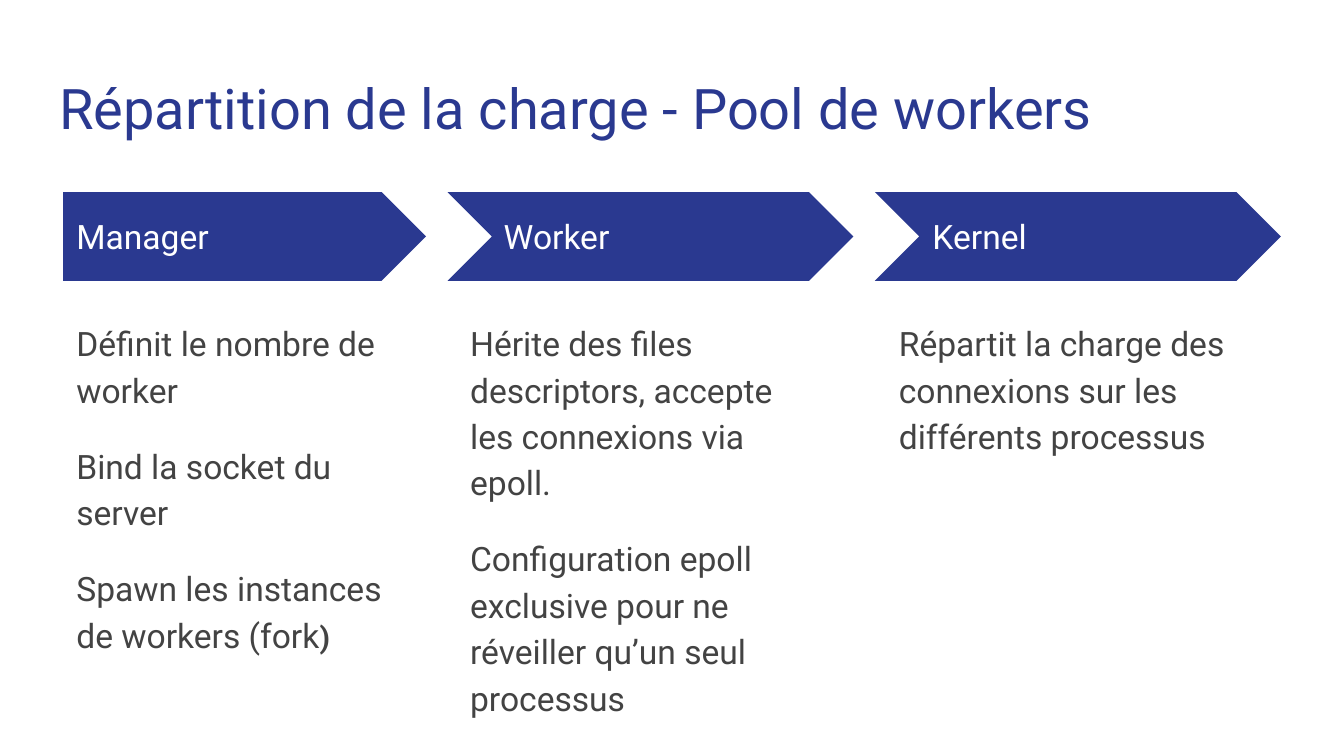
from dataclasses import dataclass

import pptx
import pptx.dml.color
import pptx.enum.shapes
import pptx.enum.text
import pptx.util

SLIDE_WIDTH = pptx.util.Inches(10)
SLIDE_HEIGHT = pptx.util.Inches(10 * 9 / 16)
NAVY = pptx.dml.color.RGBColor(0x2A, 0x39, 0x90)
GREY = pptx.dml.color.RGBColor(0x43, 0x43, 0x43)
WHITE = pptx.dml.color.RGBColor(0xFF, 0xFF, 0xFF)
FONT = "Roboto"
PENTAGON = pptx.enum.shapes.MSO_SHAPE.PENTAGON
CHEVRON = pptx.enum.shapes.MSO_SHAPE.CHEVRON
TOP = pptx.enum.text.MSO_ANCHOR.TOP
MIDDLE = pptx.enum.text.MSO_ANCHOR.MIDDLE


@dataclass
class Step:
    heading: str
    details: list[str]
    arrow: pptx.enum.shapes.MSO_SHAPE
    arrow_left: float
    arrow_width: float
    heading_left: float
    details_left: float


STEPS = [
    Step("Manager",
         ["Définit le nombre de worker", "Bind la socket du server",
          "Spawn les instances de workers (fork"],
         PENTAGON, 0.47, 2.7, 0.47, 0.47),
    Step("Worker",
         ["Hérite des files descriptors, accepte les connexions via epoll.",
          "Configuration epoll exclusive pour ne réveiller qu’un seul processus"],
         CHEVRON, 3.33, 3.02, 3.65, 3.4),
    Step("Kernel",
         ["Répartit la charge des connexions sur les différents processus"],
         CHEVRON, 6.51, 3.02, 6.84, 6.59),
]


def style_font(font, size: float, color: pptx.dml.color.RGBColor) -> None:
    font.name = FONT
    font.size = pptx.util.Pt(size)
    font.color.rgb = color


def prepare_frame(text_frame, anchor: pptx.enum.text.MSO_ANCHOR) -> None:
    text_frame.word_wrap = True
    text_frame.auto_size = pptx.enum.text.MSO_AUTO_SIZE.NONE
    text_frame.vertical_anchor = anchor
    text_frame.margin_left = text_frame.margin_right = pptx.util.Inches(0.1)
    text_frame.margin_top = text_frame.margin_bottom = pptx.util.Inches(0.1)


def add_title(slide, text: str) -> None:
    title = slide.shapes.title
    title.left, title.top = pptx.util.Inches(0.34), pptx.util.Inches(0.45)
    title.width, title.height = pptx.util.Inches(9.32), pptx.util.Inches(0.66)
    prepare_frame(title.text_frame, TOP)
    title.text_frame.text = text
    paragraph = title.text_frame.paragraphs[0]
    paragraph.alignment = pptx.enum.text.PP_ALIGN.LEFT
    paragraph.line_spacing = 1.0
    paragraph.space_before = pptx.util.Pt(0)
    style_font(paragraph.runs[0].font, 30, NAVY)


def add_text(slide, left: float, top: float, width: float, height: float,
             lines: list[str], color: pptx.dml.color.RGBColor,
             anchor: pptx.enum.text.MSO_ANCHOR, line_spacing: float = 1.0):
    box = slide.shapes.add_textbox(*map(pptx.util.Inches, (left, top, width, height)))
    prepare_frame(box.text_frame, anchor)
    box.text_frame.text = "\n".join(lines)
    for index, paragraph in enumerate(box.text_frame.paragraphs):
        paragraph.line_spacing = line_spacing
        paragraph.space_before = pptx.util.Pt(16 if index else 0)
        style_font(paragraph.runs[0].font, 18, color)
    return box


def add_step(slide, step: Step):
    # Arrow
    bounds = (step.arrow_left, 1.43, step.arrow_width, 0.66)
    arrow = slide.shapes.add_shape(step.arrow, *map(pptx.util.Inches, bounds))
    arrow.adjustments[0] = 0.5
    arrow.shadow.inherit = False
    arrow.fill.solid()
    arrow.fill.fore_color.rgb = NAVY
    arrow.line.fill.background()

    # Heading over the arrow, details below it
    add_text(slide, step.heading_left, 1.59, 2.47, 0.34, [step.heading], WHITE, MIDDLE)
    return add_text(slide, step.details_left, 2.26, 2.7, 2.9, step.details, GREY, TOP, 1.15)


def main() -> None:
    presentation = pptx.Presentation()
    presentation.slide_width = SLIDE_WIDTH
    presentation.slide_height = SLIDE_HEIGHT
    slide = presentation.slides.add_slide(presentation.slide_layouts[5])

    add_title(slide, "Répartition de la charge - Pool de workers")
    manager_details, *_ = [add_step(slide, step) for step in STEPS]

    # The closing bracket is smaller and bold
    bracket = manager_details.text_frame.paragraphs[-1].add_run()
    bracket.text = ")"
    style_font(bracket.font, 16, GREY)
    bracket.font.bold = True

    presentation.save("out.pptx")


if __name__ == "__main__":
    main()
